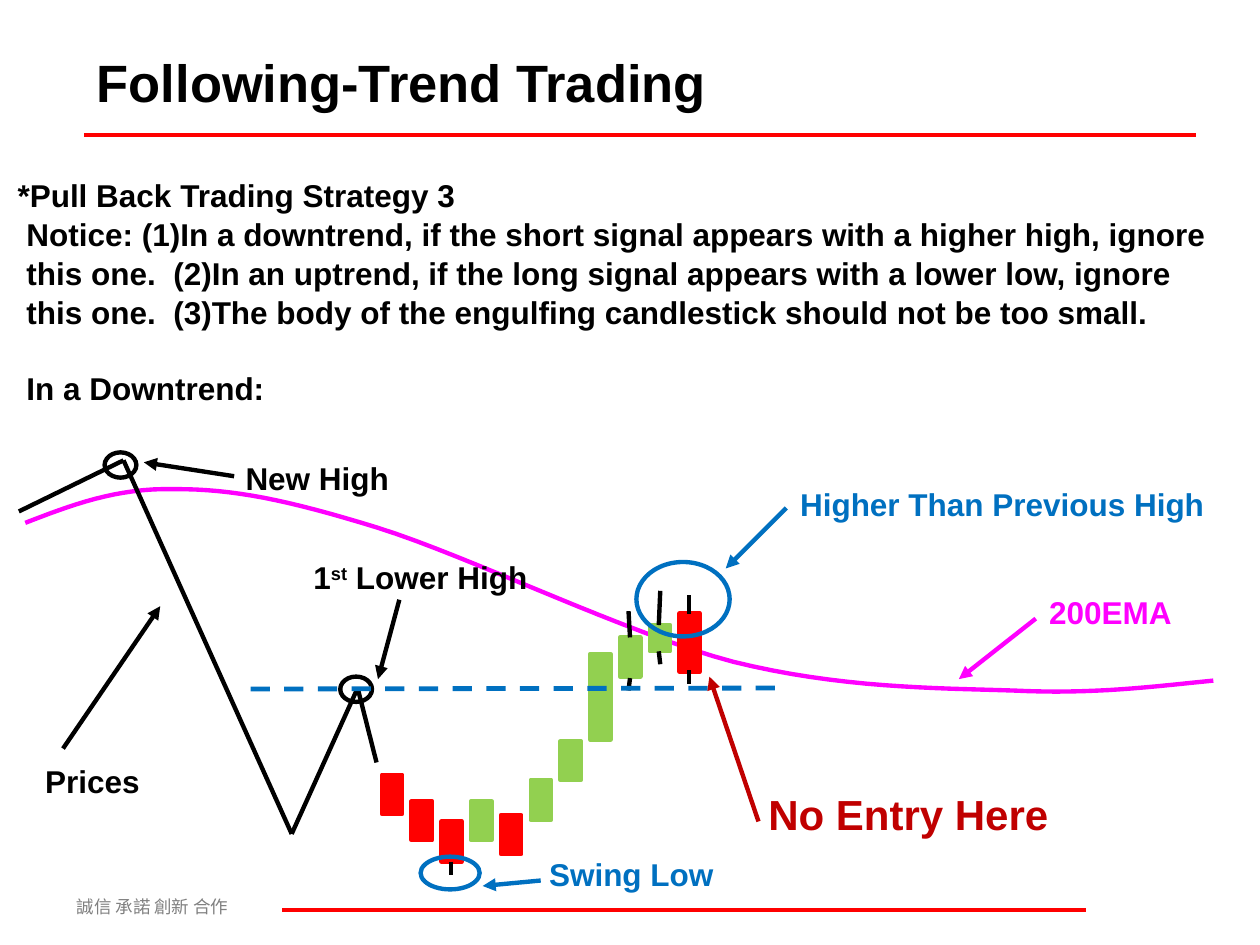
from itertools import pairwise
from lxml.etree import SubElement
from pptx import Presentation
from pptx.dml.color import RGBColor
from pptx.enum.dml import MSO_LINE as Dash
from pptx.enum.shapes import MSO_CONNECTOR as Connector, MSO_SHAPE as Shape
from pptx.enum.text import MSO_ANCHOR as Anchor, MSO_AUTO_SIZE as AutoSize, PP_ALIGN as Align
from pptx.oxml.ns import qn
from pptx.util import Cm, Pt

BLACK = RGBColor(0x00, 0x00, 0x00)
GRAY = RGBColor(0x80, 0x80, 0x80)
RED = RGBColor(0xFF, 0x00, 0x00)
DARK_RED = RGBColor(0xC0, 0x00, 0x00)
GREEN = RGBColor(0x92, 0xD0, 0x50)
BLUE = RGBColor(0x00, 0x70, 0xC0)
MAGENTA = RGBColor(0xFF, 0x00, 0xFF)


def write(paragraph, text, size=18, color=BLACK, bold=True, font="Arial", raised=False):
    run = paragraph.add_run()
    run.text = text
    run.font.size = Pt(size)
    run.font.bold = bold
    run.font.name = font
    run.font.color.rgb = color
    properties = run._r.get_or_add_rPr()
    SubElement(properties, qn("a:ea")).set("typeface", font)
    if raised:
        properties.set("baseline", "30000")


def draw_line(start, end, color=BLACK, width=2.5, arrow=False, dash=None):
    line = slide.shapes.add_connector(Connector.STRAIGHT, *map(Cm, start + end))
    line.line.color.rgb = color
    line.line.width = Pt(width)
    if dash:
        line.line.dash_style = dash
    if arrow:
        SubElement(line.line._get_or_add_ln(), qn("a:tailEnd")).set("type", "triangle")
    SubElement(line._element.spPr, qn("a:effectLst"))


deck = Presentation()
deck.slide_width, deck.slide_height = Cm(25.4), Cm(19.05)
slide = deck.slides.add_slide(deck.slide_layouts[1])

title, notice = slide.placeholders
for holder, box in (
    (title, (1.7, 0.76, 23.01, 1.75)),
    (notice, (0.1, 4.32, 24.99, 3.2)),
):
    holder.left, holder.top, holder.width, holder.height = map(Cm, box)
    holder.text_frame.auto_size = AutoSize.NONE
    holder.text_frame.vertical_anchor = Anchor.MIDDLE

heading = title.text_frame.paragraphs[0]
heading.alignment = Align.LEFT
write(heading, "Following-Trend Trading", size=30)

notice_lines = (
    ("*Pull Back Trading Strategy 3", 0, 0),
    ("Notice: (1)In a downtrend, if the short signal appears with a higher high, ignore", 0.18, 2.8),
    ("this one.  (2)In an uptrend, if the long signal appears with a lower low, ignore", 0.18, 2.8),
    ("this one.  (3)The body of the engulfing candlestick should not be too small.", 0.18, 2.8),
    ("In a Downtrend:", 0.18, 24.2),
)
for number, (text, indent, gap) in enumerate(notice_lines):
    frame = notice.text_frame
    paragraph = frame.add_paragraph() if number else frame.paragraphs[0]
    layout = paragraph._p.get_or_add_pPr()
    layout.set("marL", str(Cm(indent)))
    layout.set("indent", "0")
    SubElement(layout, qn("a:buNone"))
    paragraph.line_spacing = 0.9
    paragraph.space_before = Pt(gap)
    write(paragraph, text)

draw_line((1.7, 2.72), (24.1, 2.72), RED, 2.25)
draw_line((5.69, 18.34), (21.89, 18.34), RED, 2.25)

ema_start = (0.51, 10.54)
ema_curves = (
    ((1.42, 10.19), (2.34, 9.83), (3.53, 9.86)),
    ((4.7, 9.86), (5.74, 10.06), (7.62, 10.64)),
    ((9.5, 11.23), (12.65, 12.78), (14.78, 13.34)),
    ((16.92, 13.87), (18.82, 13.87), (20.42, 13.92)),
    ((22.05, 14), (23.24, 13.84), (24.46, 13.72)),
)
STEPS = 16
ema_points = []
origin = ema_start
for first, second, end in ema_curves:
    for step in range(1, STEPS + 1):
        t = step / STEPS
        u = 1 - t
        ema_points.append(tuple(
            Cm(u**3 * a + 3 * u * u * t * b + 3 * u * t * t * c + t**3 * d)
            for a, b, c, d in zip(origin, first, second, end)
        ))
    origin = end
builder = slide.shapes.build_freeform(*map(Cm, ema_start))
builder.add_line_segments(ema_points, close=False)
ema = builder.convert_to_shape()
ema.shadow.inherit = False
ema.fill.background()
ema.line.color.rgb = MAGENTA
ema.line.width = Pt(2.5)

candles = (
    (15.62, 0.79, RED), (16.15, 0.79, RED), (16.56, 0.81, RED),
    (16.15, 0.79, GREEN), (16.43, 0.79, RED), (15.72, 0.81, GREEN),
    (14.94, 0.79, GREEN), (13.18, 1.73, GREEN), (12.85, 0.79, GREEN),
    (12.6, 0.53, GREEN), (12.37, 1.17, RED),
)
for day, (top, height, color) in enumerate(candles):
    candle = slide.shapes.add_shape(
        Shape.RECTANGLE, Cm(7.7 + 0.6 * day), Cm(top), Cm(0.41), Cm(height))
    candle.shadow.inherit = False
    candle.fill.solid()
    candle.fill.fore_color.rgb = color
    candle.line.color.rgb = color
    candle.line.width = Pt(2.5)

wicks = (
    ((13.28, 12.6), (13.31, 11.91)),
    ((13.28, 13.13), (13.31, 13.39)),
    ((12.7, 12.85), (12.67, 12.32)),
    ((13.89, 13.51), (13.89, 13.79)),
    ((12.7, 13.67), (12.67, 13.92)),
    ((9.09, 17.37), (9.09, 17.63)),
    ((13.89, 12.37), (13.89, 11.99)),
)
prices = ((0.38, 10.31), (2.49, 9.28), (5.88, 16.81), (7.21, 13.87), (7.59, 15.37))
for start, end in (*wicks, *pairwise(prices)):
    draw_line(start, end)

for box, color in (
    ((12.83, 11.33, 1.88, 1.5), BLUE),
    ((8.48, 17.27, 1.19, 0.66), BLUE),
    ((2.11, 9.12, 0.64, 0.51), BLACK),
    ((6.86, 13.64, 0.64, 0.51), BLACK),
):
    ring = slide.shapes.add_shape(Shape.OVAL, *map(Cm, box))
    ring.shadow.inherit = False
    ring.fill.background()
    ring.line.color.rgb = color
    ring.line.width = Pt(2.5)

draw_line((5.05, 13.89), (15.7, 13.87), BLUE, 2.75, dash=Dash.DASH)

for start, end, color in (
    ((20.88, 12.47), (19.33, 13.69), MAGENTA),
    ((1.27, 15.09), (3.23, 12.22), BLACK),
    ((15.29, 16.56), (14.3, 13.64), DARK_RED),
    ((10.9, 17.75), (9.73, 17.86), BLUE),
    ((4.72, 9.6), (2.9, 9.32), BLACK),
    ((8.05, 12.09), (7.62, 13.69), BLACK),
    ((15.85, 10.24), (14.63, 11.46), BLUE),
):
    draw_line(start, end, color, arrow=True)

footer_format = dict(size=10, color=GRAY, bold=False, font="Noto Sans CJK SC")
labels = (
    ((1.3, 17.93, 6.4, 0.69), (("誠信 承諾 創新 合作", footer_format),)),
    ((20.9, 11.84, 4.01, 1.02), (("200EMA", dict(color=MAGENTA)),)),
    ((0.66, 15.24, 3.81, 1.02), (("Prices", {}),)),
    ((15.24, 15.77, 7.39, 1.27), (("No Entry Here", dict(size=24, color=DARK_RED)),)),
    ((10.82, 17.12, 7.06, 1.02), (("Swing Low", dict(color=BLUE)),)),
    ((4.7, 9.12, 3.81, 1.02), (("New High", {}),)),
    ((6.07, 11.13, 5, 1.02), (("1", {}), ("st", dict(raised=True)), (" Lower High", {}))),
    ((15.88, 9.65, 8.94, 1.02), (("Higher Than Previous High", dict(color=BLUE)),)),
)
for box, pieces in labels:
    label = slide.shapes.add_textbox(*map(Cm, box))
    label.text_frame.word_wrap = True
    for text, text_format in pieces:
        write(label.text_frame.paragraphs[0], text, **text_format)

deck.save("out.pptx")
